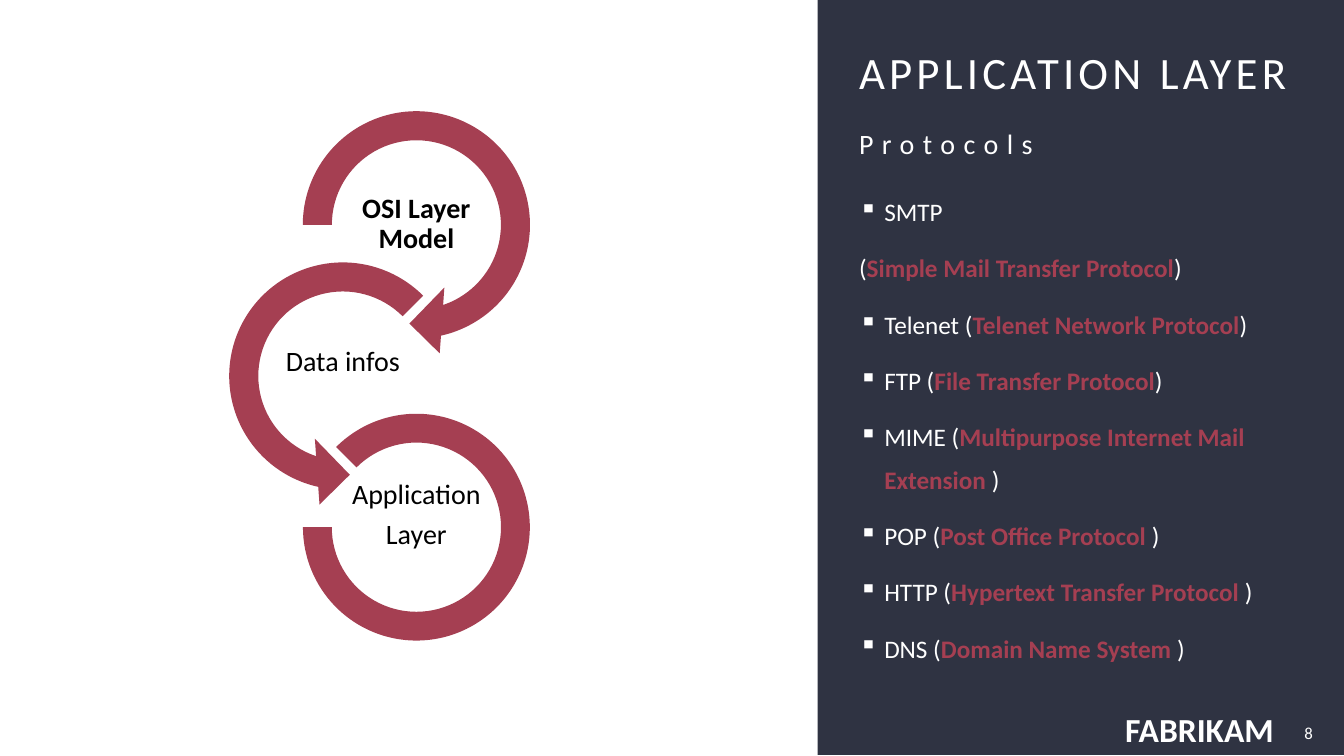
from lxml import etree
from pptx import Presentation
from pptx.dml.color import RGBColor
from pptx.enum.shapes import MSO_SHAPE
from pptx.enum.text import MSO_ANCHOR, MSO_AUTO_SIZE, PP_ALIGN
from pptx.oxml.ns import qn
from pptx.util import Inches, Pt

RECTANGLE = MSO_SHAPE.RECTANGLE
RIGHT_ARROW = MSO_SHAPE.CIRCULAR_ARROW
LEFT_ARROW = MSO_SHAPE.LEFT_CIRCULAR_ARROW
BLOCK_ARC = MSO_SHAPE.BLOCK_ARC
TOP, MIDDLE = MSO_ANCHOR.TOP, MSO_ANCHOR.MIDDLE
LEFT, CENTER, RIGHT = PP_ALIGN.LEFT, PP_ALIGN.CENTER, PP_ALIGN.RIGHT
NO_AUTOFIT = MSO_AUTO_SIZE.NONE

NAVY = RGBColor(0x2F, 0x33, 0x42)
CRIMSON = RGBColor(0xA5, 0x3F, 0x52)
WHITE = RGBColor(0xFF, 0xFF, 0xFF)
BLACK = RGBColor(0x00, 0x00, 0x00)

PANEL_LEFT = 8.11
TEXT_LEFT = 8.52
TEXT_WIDTH = 4.39
LABEL_WIDTH, LABEL_HEIGHT = 1.46, 0.73
RING_TOP, RING_STEP = 2.23, 1.5
COLUMNS = (3.4, 4.13)

presentation = Presentation()
presentation.slide_width = Inches(13.33)
presentation.slide_height = Inches(7.5)
slide = presentation.slides.add_slide(presentation.slide_layouts[5])
shapes = slide.shapes


def prepare_frame(shape, box, anchor=MIDDLE, insets=(0, 0.05), wrap=True):
    shape.left, shape.top, shape.width, shape.height = map(Inches, box)
    frame = shape.text_frame
    frame.auto_size = NO_AUTOFIT
    frame.word_wrap = wrap
    frame.vertical_anchor = anchor
    frame.margin_left = frame.margin_right = Inches(insets[0])
    frame.margin_top = frame.margin_bottom = Inches(insets[1])
    return frame


def add_run(paragraph, text, size, color=WHITE, bold=False, spacing=0):
    run = paragraph.add_run()
    run.text = text
    run.font.name = "Calibri"
    run.font.size = Pt(size)
    run.font.bold = bold
    run.font.color.rgb = color
    if spacing:
        run._r.get_or_add_rPr().set("spc", str(spacing * 100))


panel = shapes.add_shape(RECTANGLE, Inches(PANEL_LEFT), 0, Inches(5.22), Inches(7.49))
panel.shadow.inherit = False
panel.fill.solid()
panel.fill.fore_color.rgb = NAVY
panel.line.fill.background()
shapes._spTree.insert(2, panel._element)

frame = prepare_frame(shapes.title, (TEXT_LEFT, 0.4, TEXT_WIDTH, 0.63))
frame.paragraphs[0].alignment = LEFT
add_run(frame.paragraphs[0], "APPLICATION LAYER", 32, spacing=3)

subtitle = shapes.add_textbox(0, 0, 0, 0)
frame = prepare_frame(subtitle, (TEXT_LEFT, 1.11, TEXT_WIDTH, 0.45))
frame.paragraphs[0].line_spacing = 1.5
add_run(frame.paragraphs[0], "Protocols", 20, spacing=6)

protocols = [
    ("SMTP", ""),
    ("(", "Simple Mail Transfer Protocol"),
    ("Telenet (", "Telenet Network Protocol"),
    ("FTP (", "File Transfer Protocol"),
    ("MIME (", "Multipurpose Internet Mail Extension "),
    ("POP (", "Post Office Protocol "),
    ("HTTP (", "Hypertext Transfer Protocol "),
    ("DNS (", "Domain Name System "),
]
protocol_list = shapes.add_textbox(0, 0, 0, 0)
frame = prepare_frame(protocol_list, (TEXT_LEFT, 1.78, TEXT_WIDTH, 5.07), TOP)
for index, (short_name, full_name) in enumerate(protocols):
    paragraph = frame.add_paragraph() if index else frame.paragraphs[0]
    if short_name != "(":
        properties = paragraph._p.get_or_add_pPr()
        properties.set("marL", str(Inches(0.25)))
        properties.set("indent", str(-Inches(0.25)))
        etree.SubElement(properties, qn("a:buChar")).set("char", "▪")
    paragraph.line_spacing = 1.4
    if index:
        paragraph.space_before = Pt(10)
    add_run(paragraph, short_name, 18)
    if full_name:
        add_run(paragraph, full_name, 18, CRIMSON, True)
        add_run(paragraph, ")", 18)

brand = shapes.add_textbox(0, 0, 0, 0)
frame = prepare_frame(brand, (11.14, 7.01, 1.53, 0.45), insets=(0.02, 0.02), wrap=False)
add_run(frame.paragraphs[0], "FABRIKAM", 24, bold=True)

page_number = shapes.add_textbox(0, 0, 0, 0)
frame = prepare_frame(page_number, (12.63, 7.07, 0.49, 0.4), insets=(0.1, 0.05))
frame.paragraphs[0].alignment = RIGHT
add_run(frame.paragraphs[0], "8", 12)

rings = [
    (RIGHT_ARROW, 1, 2.62, (0.11, 11.42, 45, 108, 0.125), ["OSI Layer Model"], True, 0),
    (LEFT_ARROW, 0, 2.62, (0.11, 11.42, 63, 189, 0.125), ["Data infos"], False, -0.13),
    (BLOCK_ARC, 1, 2.25, (135, 108, 0.127), ["Application", "Layer"], False, -0.12),
]
for row, (kind, column, size, adjustments, lines, bold, shift) in enumerate(rings):
    center_x = COLUMNS[column]
    center_y = RING_TOP + row * RING_STEP
    ring = shapes.add_shape(kind, Inches(center_x - size / 2), Inches(center_y - size / 2),
                            Inches(size), Inches(size))
    for index, value in enumerate(adjustments):
        ring.adjustments[index] = value
    ring.shadow.inherit = False
    ring.fill.solid()
    ring.fill.fore_color.rgb = CRIMSON
    ring.line.fill.background()

    label = shapes.add_textbox(0, 0, 0, 0)
    box = (center_x - LABEL_WIDTH / 2, center_y - LABEL_HEIGHT / 2 + shift,
           LABEL_WIDTH, LABEL_HEIGHT)
    frame = prepare_frame(label, box, insets=(0.01, 0.01))
    for index, line in enumerate(lines):
        paragraph = frame.add_paragraph() if index else frame.paragraphs[0]
        paragraph.alignment = CENTER
        paragraph.line_spacing = 0.9
        if index:
            paragraph.space_before = Pt(7)
        add_run(paragraph, line, 20, BLACK, bold)

presentation.save("out.pptx")
